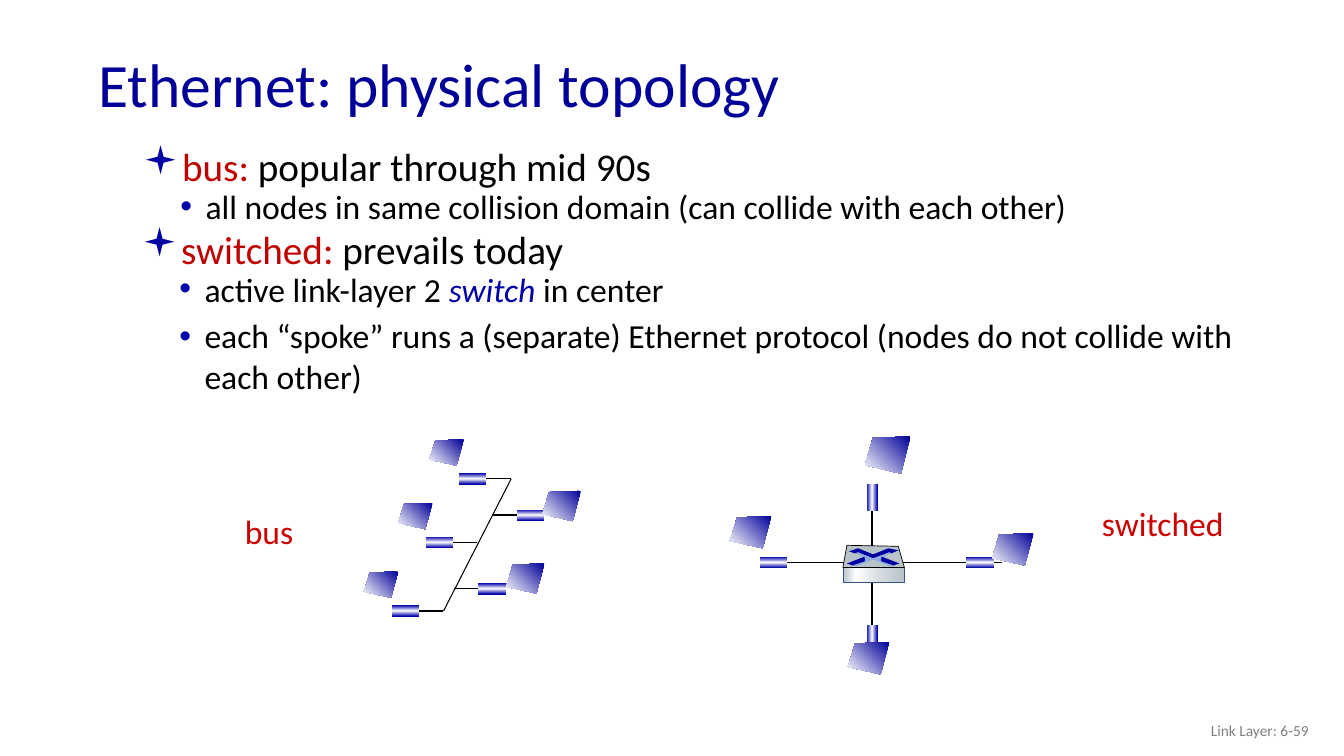
from lxml import etree
from pptx import Presentation
from pptx.dml.color import RGBColor
from pptx.enum.shapes import MSO_CONNECTOR, MSO_SHAPE
from pptx.enum.text import MSO_ANCHOR, MSO_AUTO_SIZE, PP_ALIGN
from pptx.oxml import parse_xml
from pptx.oxml.ns import nsdecls, qn
from pptx.util import Inches, Pt

# Content: (bullet level, line spacing, runs); run = (text, colour, italic)
BLACK, RED, BLUE = "000000", "C00000", "0000A8"
BODIES = [
    ((1.18, 1.47, 11.85, 1.01), [
        (0, 0.75, [("bus: ", RED, False), ("popular through mid 90s", BLACK, False)]),
        (1, 0.75, [("all nodes in same collision domain (can collide with each other)", BLACK, False)]),
    ]),
    ((1.17, 2.29, 11.85, 1.79), [
        (0, 0.75, [("switched: ", RED, False), ("prevails today", BLACK, False)]),
        (1, 0.75, [("active link-layer 2 ", BLACK, False), ("switch ", BLUE, True),
                   ("in center", BLACK, False)]),
        (1, 1.0, [("each “spoke” runs a (separate) Ethernet protocol "
                   "(nodes do not collide with each other)", BLACK, False)]),
    ]),
]
# Per level: (bullet, its font, its colour, indent, hanging), size, space before
LEVELS = [(("▪", "Wingdings", "0000A3", 0.44, 0.3), 28, 10),
          (("•", "Arial", BLUE, 0.76, 0.25), 24, 5)]
LABELS = [("bus", (2.33, 5.02, 0.69, 0.5)), ("switched", (10.83, 4.94, 1.42, 0.5))]

# Bus stations: adapter centre, side on which the bus lies (1 right, -1 left)
BUS_ADAPTERS = [(4.69, 4.75, 1), (4.36, 5.38, 1), (4.02, 6.06, 1),
                (4.88, 5.84, -1), (5.26, 5.11, -1)]
STUB = 0.24
BUS_MONITORS = [(3.61, 5.67, 0.34, 0.26), (3.95, 4.99, 0.34, 0.26), (4.26, 4.36, 0.34, 0.26),
                (5.38, 4.87, 0.38, 0.3), (5.02, 5.59, 0.38, 0.3)]

# Switched star: adapter centre, whether it stands upright
STAR_LINES = [(8.65, 5.06, 8.65, 6.44), (7.6, 5.58, 9.94, 5.58)]
STAR_ADAPTERS = [(7.67, 5.58, False), (9.72, 5.58, False), (8.65, 6.34, True), (8.65, 4.94, True)]
STAR_MONITORS = [(7.24, 5.12, 0.41, 0.32), (9.84, 5.29, 0.41, 0.32),
                 (8.41, 6.37, 0.41, 0.32), (8.58, 4.33, 0.45, 0.37)]

ADAPTER_LONG, ADAPTER_SHORT = 0.27, 0.11
ADAPTER_STOPS = [(0, BLUE), (50, "FFFFFF"), (99, BLUE)]
MONITOR_STOPS = [(0, "000099"), (100, "FFFFFF")]
MONITOR_OUTLINE = [(1, 0), (0.17, 0.04), (0, 0.77), (0.79, 1)]  # fractions of the frame
SWITCH_STOPS = [(0, "B8C2C9"), (21, "FFFFFF"), (60, "D6DCE0"), (100, "B8C2C9")]
SWITCH_TOP = [(8.36, 5.63), (8.4, 5.41), (8.91, 5.42), (8.97, 5.63)]
SWITCH_MARKS = [
    ("0000A3", [(8.81, 5.44), (8.91, 5.46), (8.84, 5.49), (8.82, 5.48), (8.66, 5.54), (8.51, 5.48),
                (8.48, 5.49), (8.42, 5.47), (8.51, 5.44), (8.66, 5.5)]),
    ("0000A3", [(8.74, 5.52), (8.92, 5.59), (8.86, 5.61), (8.74, 5.57)]),
    (BLUE, [(8.58, 5.52), (8.58, 5.57), (8.46, 5.61), (8.4, 5.59)]),
    ("8FAADC", [(8.48, 5.49), (8.51, 5.48), (8.66, 5.54), (8.82, 5.48), (8.84, 5.49), (8.74, 5.53),
                (8.74, 5.57), (8.86, 5.61), (8.83, 5.62), (8.66, 5.55), (8.49, 5.62), (8.46, 5.61),
                (8.58, 5.57), (8.58, 5.53)]),
]

presentation = Presentation()
presentation.slide_width, presentation.slide_height = Inches(13.33), Inches(7.5)
slide = presentation.slides.add_slide(presentation.slide_layouts[6])
shapes = slide.shapes


def color(hex_string):
    return RGBColor.from_string(hex_string)


def add_text_box(frame, wrap=True, anchor=MSO_ANCHOR.TOP):
    text_frame = shapes.add_textbox(*map(Inches, frame)).text_frame
    text_frame.word_wrap = wrap
    text_frame.vertical_anchor = anchor
    return text_frame


def format_font(font, size, hex_string, italic=False):
    font.name, font.size, font.italic = "Calibri", Pt(size), italic
    font.color.rgb = color(hex_string)


def add_line_of_text(text, frame, size, hex_string, **options):
    text_frame = add_text_box(frame, **options)
    text_frame.text = text
    paragraph = text_frame.paragraphs[0]
    format_font(paragraph.runs[0].font, size, hex_string)
    return paragraph


def set_bullet(paragraph, bullet, font_name, hex_string, indent, hanging):
    properties = paragraph._p.get_or_add_pPr()
    properties.set("marL", str(Inches(indent)))
    properties.set("indent", str(-Inches(hanging)))
    bullet_color = etree.SubElement(properties, qn("a:buClr"))
    etree.SubElement(bullet_color, qn("a:srgbClr"), val=hex_string)
    etree.SubElement(properties, qn("a:buFont"), typeface=font_name)
    etree.SubElement(properties, qn("a:buChar"), char=bullet)


def paint(shape, fill, angle=0, line=None):
    """Fill with one colour or with gradient stops; line is (colour, width)."""
    shape.shadow.inherit = False
    if isinstance(fill, str):
        shape.fill.solid()
        shape.fill.fore_color.rgb = color(fill)
    else:
        shape.fill.background()
        stops = "".join(f'<a:gs pos="{position * 1000}"><a:srgbClr val="{stop}"/></a:gs>'
                        for position, stop in fill)
        properties = shape._element.spPr
        properties.replace(properties.find(qn("a:noFill")), parse_xml(
            f'<a:gradFill {nsdecls("a")} rotWithShape="1"><a:gsLst>{stops}</a:gsLst>'
            f'<a:lin ang="{angle * 60000}" scaled="0"/></a:gradFill>'))
    if line:
        shape.line.color.rgb = color(line[0])
        shape.line.width = Pt(line[1])
    else:
        shape.line.fill.background()
    return shape


def add_line(x1, y1, x2, y2, width=1):
    line = shapes.add_connector(MSO_CONNECTOR.STRAIGHT, *map(Inches, (x1, y1, x2, y2)))
    line.line.color.rgb = color(BLACK)
    line.line.width = Pt(width)
    etree.SubElement(line._element.spPr, qn("a:effectLst"))
    return line


def add_rectangle(frame, *style):
    return paint(shapes.add_shape(MSO_SHAPE.RECTANGLE, *map(Inches, frame)), *style)


def add_outline(points, *style):
    corners = [(Inches(x), Inches(y)) for x, y in points]
    builder = shapes.build_freeform(*corners[0])
    builder.add_line_segments(corners[1:], close=True)
    return paint(builder.convert_to_shape(), *style)


def add_adapter(x, y, upright=False):
    width, height = (ADAPTER_SHORT, ADAPTER_LONG) if upright else (ADAPTER_LONG, ADAPTER_SHORT)
    return add_rectangle((x - width / 2, y - height / 2, width, height),
                         ADAPTER_STOPS, 0 if upright else 90)


def add_monitor(left, top, width, height):
    points = [(left + width * x, top + height * y) for x, y in MONITOR_OUTLINE]
    add_outline(points, MONITOR_STOPS, 135)


# Title, page label and diagram labels
title = add_line_of_text("Ethernet: physical topology", (0.88, 0.38, 11.5, 0.98), 44, "000099",
                         anchor=MSO_ANCHOR.MIDDLE)
title.line_spacing = 0.9
page_label = add_line_of_text("Link Layer: 6-59", (10.08, 7.05, 3, 0.4), 11, "808080",
                              anchor=MSO_ANCHOR.MIDDLE)
page_label.alignment = PP_ALIGN.RIGHT
for text, frame in LABELS:
    label = add_line_of_text(text, frame, 24, "CC0000", wrap=False)
    label._parent.auto_size = MSO_AUTO_SIZE.SHAPE_TO_FIT_TEXT

# Bulleted text
for frame, items in BODIES:
    text_frame = add_text_box(frame)
    for index, (level, spacing, runs) in enumerate(items):
        paragraph = text_frame.add_paragraph() if index else text_frame.paragraphs[0]
        bullet, size, space_before = LEVELS[level]
        paragraph.level = level
        set_bullet(paragraph, *bullet)
        paragraph.line_spacing = spacing
        if index:
            paragraph.space_before = Pt(space_before)
        for text, run_color, italic in runs:
            run = paragraph.add_run()
            run.text = text
            format_font(run.font, size, run_color, italic)

# Bus diagram
add_line(5.07, 4.75, 4.4, 6.06, 0.75)
for x, y, side in BUS_ADAPTERS:
    adapter = add_adapter(x, y)
    edge = x + side * ADAPTER_LONG / 2
    stub = add_line(edge, y, edge + side * STUB, y)
    stub.begin_connect(adapter, 3 if side > 0 else 1)
for frame in BUS_MONITORS:
    add_monitor(*frame)

# Switched diagram
for ends in STAR_LINES:
    add_line(*ends)
for adapter_place in STAR_ADAPTERS:
    add_adapter(*adapter_place)
for frame in STAR_MONITORS:
    add_monitor(*frame)
add_rectangle((8.36, 5.63, 0.61, 0.15), SWITCH_STOPS, 0, ("325491", 0.5))
add_outline(SWITCH_TOP, "B8C2C9", 0, (BLACK, 0.5))
for mark_color, points in SWITCH_MARKS:
    add_outline(points, mark_color)

presentation.save("out.pptx")
